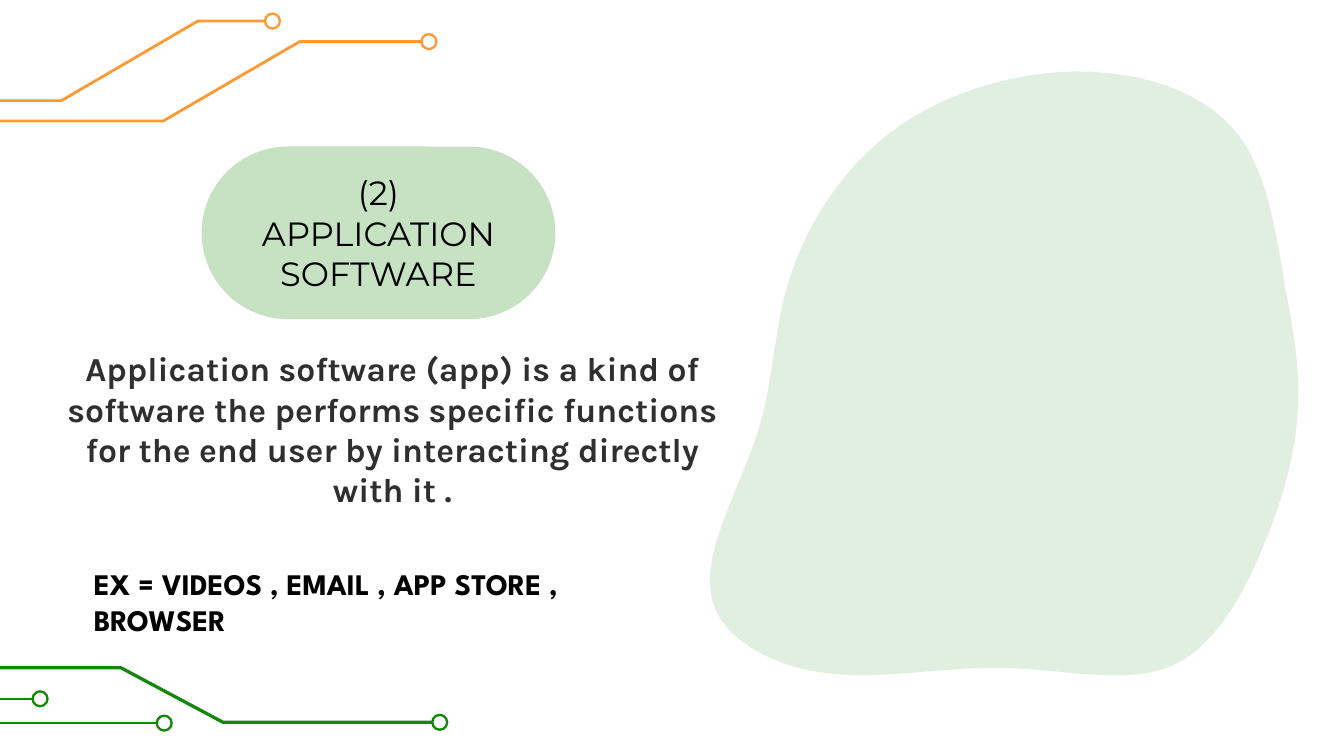
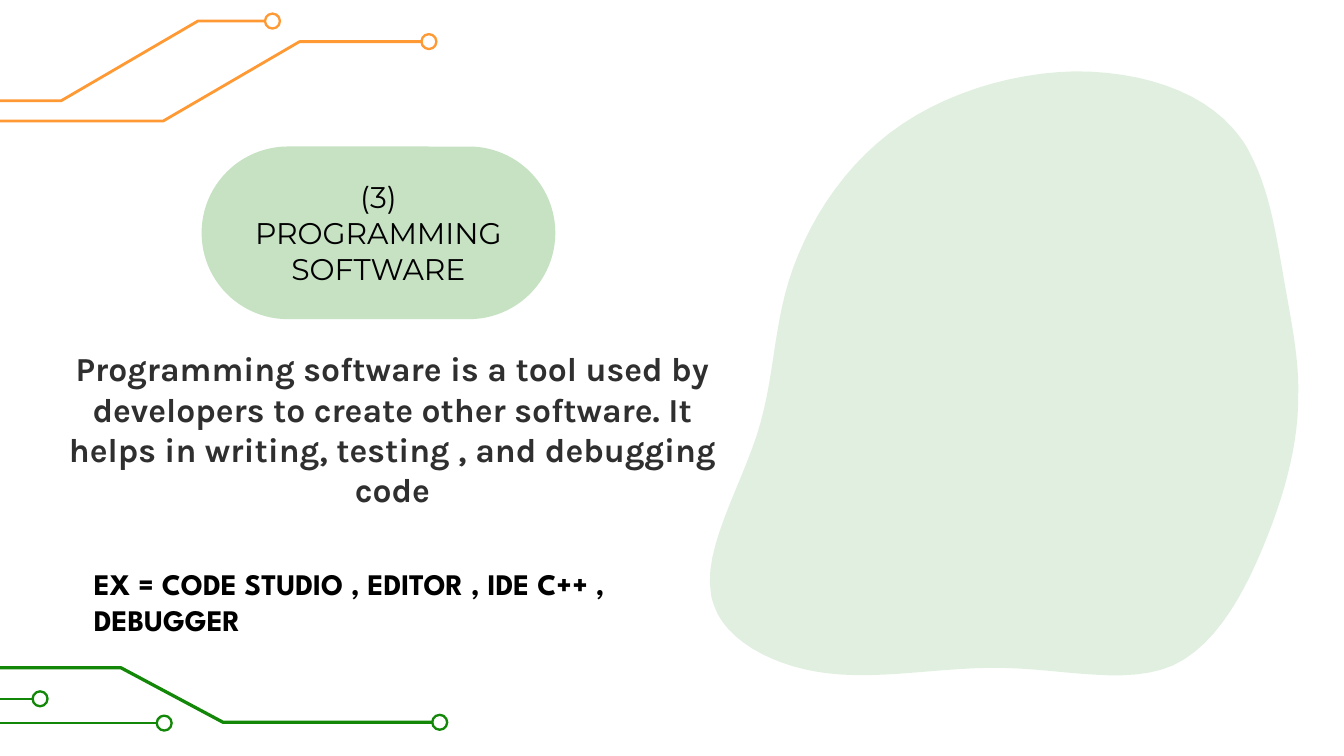
from lxml.etree import SubElement
from pptx import Presentation
from pptx.dml.color import RGBColor
from pptx.enum.shapes import MSO_CONNECTOR, MSO_SHAPE
from pptx.enum.text import MSO_ANCHOR, MSO_AUTO_SIZE, PP_ALIGN
from pptx.oxml.ns import qn
from pptx.util import Pt

GREEN, ORANGE, BLACK, CHARCOAL = "138808", "FF9933", "000000", "302F2F"

BLOB_BOX = (380, 38)
PILL_BOX = (108, 78.5, 189.5, 92.5)
DEFINITION_BOX = (24.5, 179.3, 371.5, 108)
EXAMPLES_BOX = (43.2, 299.5, 312.5, 46)
RING_SIZE = 8

# Each trace: line width, then its corners up to the ring.
GREEN_TRACES = [
    (1, [(-91.4, 387.4), (84, 387.4)]),
    (1, [(-157.7, 374.4), (17.5, 374.4)]),
    (1.75, [(-26.6, 357.8), (64.8, 357.8), (119.5, 387), (231.6, 387)]),
]
ORANGE_TRACES = [
    (1.5, [(-52, 64.8), (87.5, 64.8), (160.5, 22.3), (225.8, 22.3)]),
    (1.5, [(-97, 54), (32.8, 54), (106, 11.3), (142, 11.3)]),
]

BLOB_START = (289.6, 44.1)
# Two control points and an end point for each curve, relative to the box.
BLOB_CURVES = [
    ((287.4, 39), (283.8, 34.7), (280.2, 30.4)),
    ((262.2, 10.2), (230.6, 0.2), (196, 0.2)),
    ((161.4, 0.9), (124, 12.4), (96.6, 33.3)),
    ((69.3, 54.2), (51.3, 84.4), (42.6, 112.5)),
    ((34, 140.6), (34.7, 166.5), (25.4, 195.3)),
    ((16, 224.1), (-3.4, 256.5), (0.9, 280.2)),
    ((1.6, 284.6), (3, 287.4), (4.5, 291)),
    ((13.8, 308.3), (38.3, 319.8), (63.5, 322.7)),
    ((93, 326.3), (125.4, 319.1), (157.8, 319.8)),
    ((191, 320.6), (224.1, 329.2), (248.6, 318.4)),
    ((273, 306.9), (288.2, 276.6), (299, 249.3)),
    ((309.8, 221.9), (315.5, 197.4), (315.5, 175.1)),
    ((316.2, 152.8), (311.2, 131.9), (306.9, 106)),
    ((303.3, 85.8), (299.7, 62.8), BLOB_START),
]

SOFTWARE_KINDS = [
    ("(2) APPLICATION SOFTWARE", 18,
     "Application software (app) is a kind of software the performs specific "
     "functions for the end user by interacting directly with it .",
     "EX = VIDEOS , EMAIL , APP STORE , BROWSER"),
    ("(3) PROGRAMMING SOFTWARE", 16,
     "Programming software is a tool used by developers to create other "
     "software. It helps in writing, testing , and debugging code",
     "EX = CODE STUDIO , EDITOR , IDE C++ , DEBUGGER"),
]


def rgb(color):
    return RGBColor.from_string(color)


def pts(values):
    return [Pt(value) for value in values]


def fill_tint(shape, color, percent):
    """Fill with a see-through colour, without outline or shadow."""
    shape.shadow.inherit = False
    shape.fill.solid()
    shape.fill.fore_color.rgb = rgb(color)
    shape.line.fill.background()
    fill_color = shape.element.spPr.find(qn("a:solidFill"))[0]
    SubElement(fill_color, qn("a:alpha"), val=str(percent * 1000))


def outline(shape, color, width):
    shape.line.color.rgb = rgb(color)
    shape.line.width = Pt(width)


def write(shape, text, font, size, color, bold=False, align=PP_ALIGN.LEFT,
          anchor=MSO_ANCHOR.TOP):
    frame = shape.text_frame
    frame.word_wrap = True
    frame.auto_size = MSO_AUTO_SIZE.NONE
    frame.vertical_anchor = anchor
    paragraph = frame.paragraphs[0]
    paragraph.alignment = align
    paragraph.space_before = Pt(0)
    run = paragraph.add_run()
    run.text = text
    run.font.name, run.font.size, run.font.bold = font, Pt(size), bold
    run.font.color.rgb = rgb(color)


def pad(shape, inset):
    frame = shape.text_frame
    frame.margin_left = frame.margin_right = Pt(inset)
    frame.margin_top = frame.margin_bottom = Pt(inset)


def add_trace(slide, color, width, corners):
    """Draw a circuit trace that ends in a ring."""
    start, *bends = [pts(corner) for corner in corners]
    if len(bends) == 1:
        trace = slide.shapes.add_connector(
            MSO_CONNECTOR.STRAIGHT, *start, *bends[0])
        SubElement(trace.element.spPr, qn("a:effectLst"))
    else:
        builder = slide.shapes.build_freeform(*start)
        builder.add_line_segments(bends, close=False)
        trace = builder.convert_to_shape()
        trace.fill.background()
        trace.shadow.inherit = False
    outline(trace, color, width)

    end_x, end_y = corners[-1]
    ring = slide.shapes.add_shape(
        MSO_SHAPE.OVAL,
        *pts((end_x, end_y - RING_SIZE / 2, RING_SIZE, RING_SIZE)))
    ring.fill.background()
    ring.shadow.inherit = False
    outline(ring, color, 1.25)


def add_circuit(slide, color, traces):
    for width, corners in traces:
        add_trace(slide, color, width, corners)


def curve_points(start, curve, steps=12):
    """Sample a cubic curve, leaving out its start."""
    corners = (start, *curve)
    for step in range(1, steps + 1):
        t = step / steps
        weights = ((1 - t) ** 3, 3 * t * (1 - t) ** 2,
                   3 * t ** 2 * (1 - t), t ** 3)
        yield tuple(sum(weight * corner[axis]
                        for weight, corner in zip(weights, corners))
                    for axis in (0, 1))


def add_blob(slide, box):
    left, top = box
    points = [BLOB_START]
    for curve in BLOB_CURVES:
        points.extend(curve_points(points[-1], curve))
    start, *rest = [pts((left + x, top + y)) for x, y in points]
    builder = slide.shapes.build_freeform(*start)
    builder.add_line_segments(rest, close=True)
    fill_tint(builder.convert_to_shape(), GREEN, 13)


def add_heading_pill(slide, box, heading, size):
    pill = slide.shapes.add_shape(MSO_SHAPE.ROUNDED_RECTANGLE, *pts(box))
    pill.adjustments[0] = 0.5
    fill_tint(pill, GREEN, 24)
    pad(pill, 7.2)
    write(pill, heading, "Montserrat", size, BLACK,
          align=PP_ALIGN.CENTER, anchor=MSO_ANCHOR.MIDDLE)


def place_definition(definition, box, text):
    (definition.left, definition.top,
     definition.width, definition.height) = pts(box)
    pad(definition, 7.2)
    write(definition, text, "Karla", 18, CHARCOAL, bold=True,
          align=PP_ALIGN.CENTER)


def add_examples(slide, box, text):
    examples = slide.shapes.add_textbox(*pts(box))
    write(examples, text, "League Spartan", 16, BLACK, bold=True)


def add_software_slide(deck, heading, heading_size, definition, examples):
    slide = deck.slides.add_slide(deck.slide_layouts[0])
    unused_title = slide.shapes.title.element
    unused_title.getparent().remove(unused_title)
    add_circuit(slide, GREEN, GREEN_TRACES)
    add_blob(slide, BLOB_BOX)
    add_heading_pill(slide, PILL_BOX, heading, heading_size)
    place_definition(slide.placeholders[1], DEFINITION_BOX, definition)
    add_circuit(slide, ORANGE, ORANGE_TRACES)
    add_examples(slide, EXAMPLES_BOX, examples)


def main():
    deck = Presentation()
    deck.slide_width, deck.slide_height = Pt(720), Pt(405)
    for kind in SOFTWARE_KINDS:
        add_software_slide(deck, *kind)
    deck.save("out.pptx")


if __name__ == "__main__":
    main()
